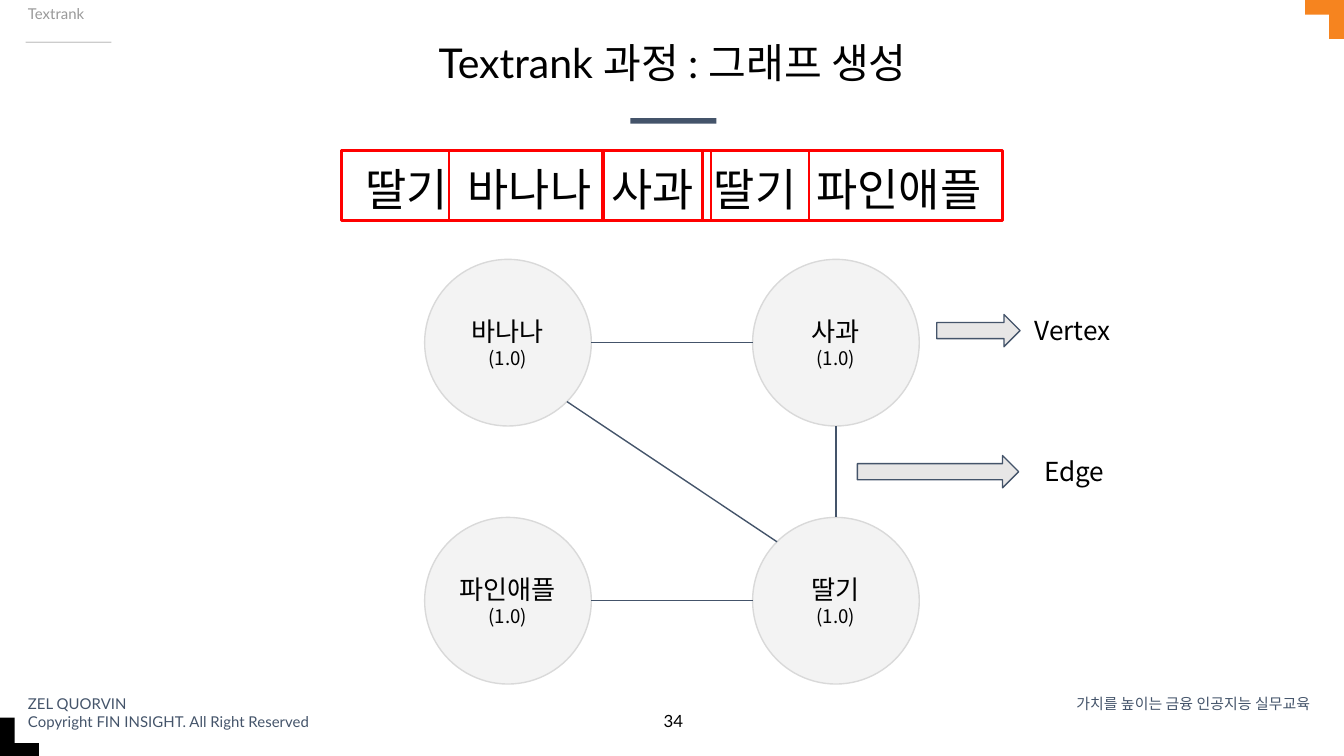
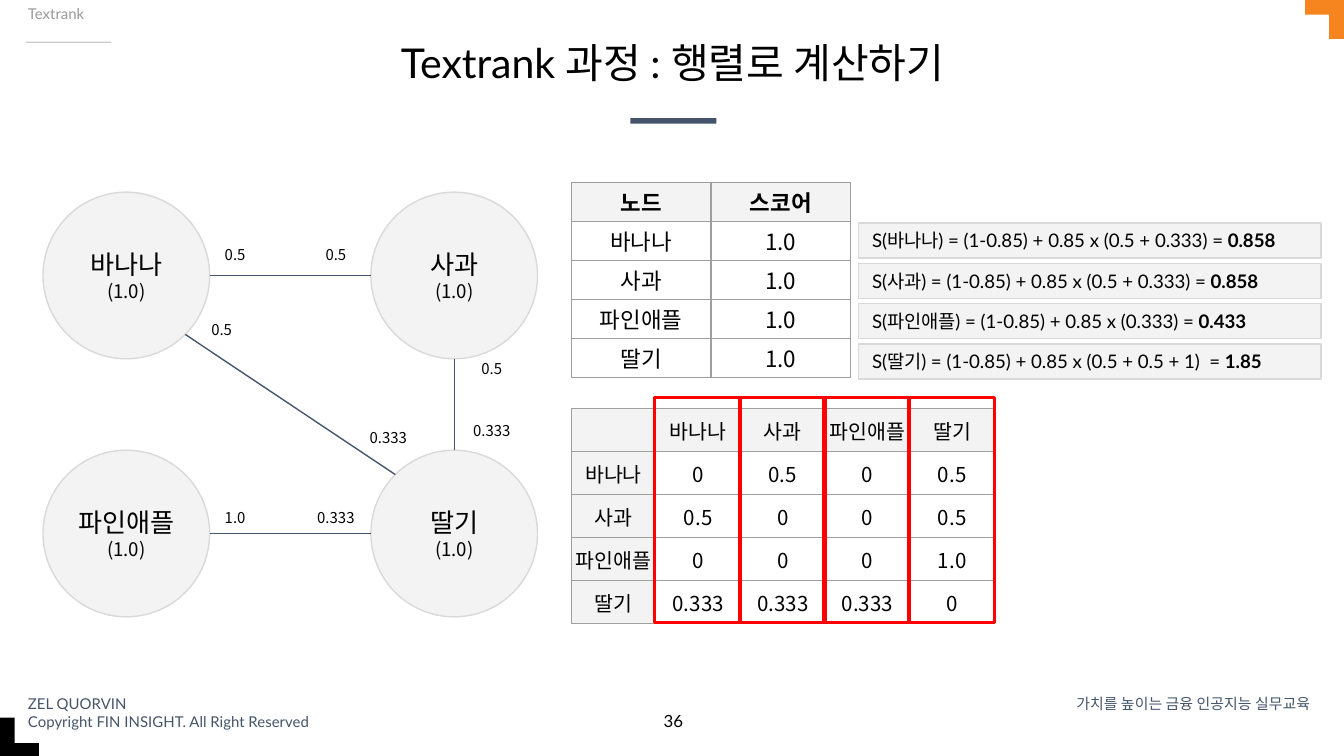
from math import sqrt

from lxml import etree
from pptx import Presentation
from pptx.dml.color import RGBColor
from pptx.enum.shapes import MSO_CONNECTOR, MSO_SHAPE
from pptx.enum.text import MSO_ANCHOR, PP_ALIGN
from pptx.oxml.ns import qn
from pptx.util import Inches, Pt

LEFT, CENTER, RIGHT = PP_ALIGN.LEFT, PP_ALIGN.CENTER, PP_ALIGN.RIGHT
TOP, MIDDLE = MSO_ANCHOR.TOP, MSO_ANCHOR.MIDDLE
RECT, OVAL, ARROW = MSO_SHAPE.RECTANGLE, MSO_SHAPE.OVAL, MSO_SHAPE.RIGHT_ARROW
STRAIGHT = MSO_CONNECTOR.STRAIGHT

BLACK = RGBColor(0x00, 0x00, 0x00)
WHITE = RGBColor(0xFF, 0xFF, 0xFF)
NAVY = RGBColor(0x44, 0x54, 0x6A)
ORANGE = RGBColor(0xF6, 0x84, 0x1F)
RED = RGBColor(0xFF, 0x00, 0x00)
PALE = RGBColor(0xF3, 0xF3, 0xF3)
OUTLINE = RGBColor(0xD9, 0xD9, 0xD9)
RULE = RGBColor(0xCC, 0xCC, 0xCC)
MUTED = RGBColor(0x99, 0x99, 0x99)
ARROW_FILL = RGBColor(0xE7, 0xE6, 0xE6)
BORDER = "9E9E9E"
LATO, NOTO = "Lato", "Noto Sans CJK KR"

WORDS = ["바나나", "사과", "파인애플", "딸기"]
NODE, STEP_X, STEP_Y = 1.24, 2.44, 1.92  # node diameter and grid pitch


def write(tf, paras, size=10, font=LATO, color=BLACK, align=LEFT, anchor=TOP,
          inset=(0.1, 0.1), bold=False, spacing=None):
    """Fill a text frame; a paragraph is a string or a list of (text, overrides)."""
    tf.word_wrap = True
    tf.vertical_anchor = anchor
    tf.margin_left = tf.margin_right = Inches(inset[0])
    tf.margin_top = tf.margin_bottom = Inches(inset[1])
    for i, runs in enumerate(paras):
        p = tf.paragraphs[0] if i == 0 else tf.add_paragraph()
        p.alignment = align
        if spacing:
            p.line_spacing = spacing
        for text, over in [(runs, {})] if isinstance(runs, str) else runs:
            r = p.add_run()
            r.text = text
            r.font.size = Pt(over.get("size", size))
            r.font.bold = over.get("bold", bold)
            r.font.color.rgb = color
            r.font.name = font
            etree.SubElement(r._r.get_or_add_rPr(), qn("a:ea"), typeface=NOTO)


def add_text(s, box, paras, **fmt):
    tb = s.shapes.add_textbox(*map(Inches, box))
    write(tb.text_frame, paras, **fmt)


def add_box(s, kind, box, fill=None, line=None, width=0.75):
    sp = s.shapes.add_shape(kind, *map(Inches, box))
    sp.shadow.inherit = False
    if fill is None:
        sp.fill.background()
    else:
        sp.fill.solid()
        sp.fill.fore_color.rgb = fill
    if line is None:
        sp.line.fill.background()
    else:
        sp.line.color.rgb = line
        sp.line.width = Pt(width)
    return sp


def add_line(s, x1, y1, x2, y2):
    cx = s.shapes.add_connector(STRAIGHT, *map(Inches, (x1, y1, x2, y2)))
    cx.line.color.rgb = NAVY
    cx.line.width = Pt(0.75)
    etree.SubElement(cx._element.spPr, qn("a:effectLst"))


def add_frame(s, title, number):
    """Parts shared by every slide."""
    # Rules and corner marks
    add_box(s, RECT, (4.69, 0.88, 0.64, 0.04), NAVY)
    add_box(s, RECT, (0.19, 0.31, 0.64, 0.01), RULE)
    add_box(s, RECT, (0, 5.53, 0.29, 0.1), BLACK)
    add_box(s, RECT, (0, 5.34, 0.11, 0.29), BLACK)
    add_box(s, RECT, (9.71, 0, 0.29, 0.11), ORANGE)
    add_box(s, RECT, (9.89, 0, 0.11, 0.29), ORANGE)
    # Titles
    add_text(s, (0.52, 0.3, 8.97, 0.4), [title], size=22, align=CENTER,
             inset=(0.04, 0.02), spacing=0.9)
    add_text(s, (0.11, 0, 2.84, 0.4), ["Textrank"], size=8, color=MUTED,
             inset=(0.1, 0.05), spacing=0.9)
    # Footer
    footer = {"size": 8, "color": NAVY, "inset": (0.1, 0.05)}
    add_text(s, (0.11, 5.12, 2.98, 0.27),
             ["ZEL QUORVIN", "Copyright FIN INSIGHT. All Right Reserved"], **footer)
    add_text(s, (7.76, 5.12, 2.09, 0.17), ["가치를 높이는 금융 인공지능 실무교육"],
             align=RIGHT, **footer)
    add_text(s, (4.71, 5.21, 0.6, 0.43), [str(number)], size=9, align=CENTER)


def add_graph(s, left, top):
    """Four word nodes on a 2 x 2 grid, joined rim to rim."""
    radius = NODE / 2
    centers = []
    for i, word in enumerate(WORDS):
        x, y = left + i % 2 * STEP_X, top + i // 2 * STEP_Y
        centers.append((x + radius, y + radius))
        sp = add_box(s, OVAL, (x, y, NODE, NODE), PALE, OUTLINE)
        write(sp.text_frame, [word, [("(1.0)", {"size": 10})]], size=14, font=NOTO,
              align=CENTER, anchor=MIDDLE, inset=(0, 0.1))
    diagonal = radius / sqrt(2)
    for a, b, dx, dy in [(0, 1, radius, 0), (1, 3, 0, radius),
                         (0, 3, diagonal, diagonal), (2, 3, radius, 0)]:
        (x1, y1), (x2, y2) = centers[a], centers[b]
        add_line(s, x1 + dx, y1 + dy, x2 - dx, y2 - dy)


def add_weights(s, left, top):
    """Edge weights, placed from the graph's corner."""
    for dx, dy, weight in [(1.16, 0.33, "0.5"), (1.91, 0.33, "0.5"),
                           (1.06, 0.89, "0.5"), (2.3, 1.69, "0.333"),
                           (3.07, 1.18, "0.5"), (3.07, 1.64, "0.333"),
                           (1.16, 2.29, "1.0"), (1.91, 2.29, "0.333")]:
        add_text(s, (left + dx, top + dy, 0.54, 0.4), [weight], size=8,
                 font=NOTO, align=CENTER)


def add_legend(s, left, top):
    """Arrows that name the parts of the graph."""
    for x, y, width, text_x, name in [(0.59, 0, 0.62, 1.22, "Vertex"),
                                      (0, 1.05, 1.2, 1.29, "Edge")]:
        add_box(s, ARROW, (left + x, top + y, width, 0.24), ARROW_FILL, NAVY)
        add_text(s, (left + text_x, top + y - 0.18, 1.07, 0.59), [name],
                 size=14, font=NOTO, anchor=MIDDLE)


def add_sentence(s, left, top):
    """Sentence with red frames around its words."""
    add_text(s, (left, top, 6.8, 0.67), ["딸기  바나나  사과  딸기  파인애플"],
             size=24, align=CENTER)
    for x, width in [(0.93, 1.95), (1.73, 1.95), (2.87, 1.54), (3.62, 2.23)]:
        add_box(s, RECT, (left + x, top + 0.02, width, 0.52), line=RED, width=1.5)


def add_grid(s, left, top, col_w, row_h, rows, size, bold_head=False, side_head=False):
    """Table with equal cells and shaded headings."""
    n, m = len(rows), len(rows[0])
    table = s.shapes.add_table(n, m, Inches(left), Inches(top),
                               Inches(col_w * m), Inches(row_h * n)).table
    table.first_row = table.horz_banding = False
    for col in table.columns:
        col.width = Inches(col_w)
    for i, values in enumerate(rows):
        table.rows[i].height = Inches(row_h)
        for j, value in enumerate(values):
            cell = table.cell(i, j)
            write(cell.text_frame, [value], size=size, font=NOTO, align=CENTER,
                  bold=bold_head and i == 0)
            cell.vertical_anchor = MIDDLE
            cell.margin_left = cell.margin_right = 0
            cell.margin_top = cell.margin_bottom = 0
            add_borders(cell)
            cell.fill.solid()
            cell.fill.fore_color.rgb = PALE if i == 0 or side_head and j == 0 else WHITE


def add_borders(cell):
    tc_pr = cell._tc.get_or_add_tcPr()
    for side in ("a:lnL", "a:lnR", "a:lnT", "a:lnB"):
        ln = etree.SubElement(tc_pr, qn(side), w=str(Pt(0.75)))
        fill = etree.SubElement(ln, qn("a:solidFill"))
        etree.SubElement(fill, qn("a:srgbClr"), val=BORDER)


def add_formulas(s, left, top):
    for i, (formula, score) in enumerate([
            ("S(바나나) = (1-0.85) + 0.85 x (0.5 + 0.333) = ", "0.858"),
            ("S(사과) = (1-0.85) + 0.85 x (0.5 + 0.333) = ", "0.858"),
            ("S(파인애플) = (1-0.85) + 0.85 x (0.333) = ", "0.433"),
            ("S(딸기) = (1-0.85) + 0.85 x (0.5 + 0.5 + 1)  = ", "1.85")]):
        sp = add_box(s, RECT, (left, top + 0.3 * i, 3.44, 0.26), PALE, OUTLINE)
        write(sp.text_frame, [[(formula, {}), (score, {"bold": True})]], anchor=MIDDLE)


def add_matrix(s, left, top):
    """Transition matrix with a red frame on each column."""
    cell = 0.63
    weights = [["0", "0.5", "0", "0.5"], ["0.5", "0", "0", "0.5"],
               ["0", "0", "0", "1.0"], ["0.333", "0.333", "0.333", "0"]]
    rows = [["", *WORDS]] + [[word, *row] for word, row in zip(WORDS, weights)]
    add_grid(s, left, top, cell, 0.32, rows, 11, side_head=True)
    for j in range(len(WORDS)):
        add_box(s, RECT, (left + 0.62 + cell * j, top - 0.08, 0.64, 1.67),
                line=RED, width=1.5)


def graph_slide(s):
    add_frame(s, "Textrank 과정 : 그래프 생성", 34)
    add_graph(s, 3.16, 1.93)
    add_sentence(s, 1.61, 1.1)
    add_legend(s, 6.38, 2.34)


def matrix_slide(s):
    add_frame(s, "Textrank 과정 : 행렬로 계산하기", 36)
    add_graph(s, 0.32, 1.43)
    add_weights(s, 0.32, 1.43)
    scores = [["노드", "스코어"]] + [[word, "1.0"] for word in WORDS]
    add_grid(s, 4.25, 1.36, 1.04, 0.29, scores, 12, bold_head=True)
    add_matrix(s, 4.25, 3.04)
    add_formulas(s, 6.39, 1.66)


def main():
    prs = Presentation()
    prs.slide_width = Inches(10)
    prs.slide_height = prs.slide_width * 9 // 16
    for build in (graph_slide, matrix_slide):
        build(prs.slides.add_slide(prs.slide_layouts[6]))
    prs.save("out.pptx")


if __name__ == "__main__":
    main()
